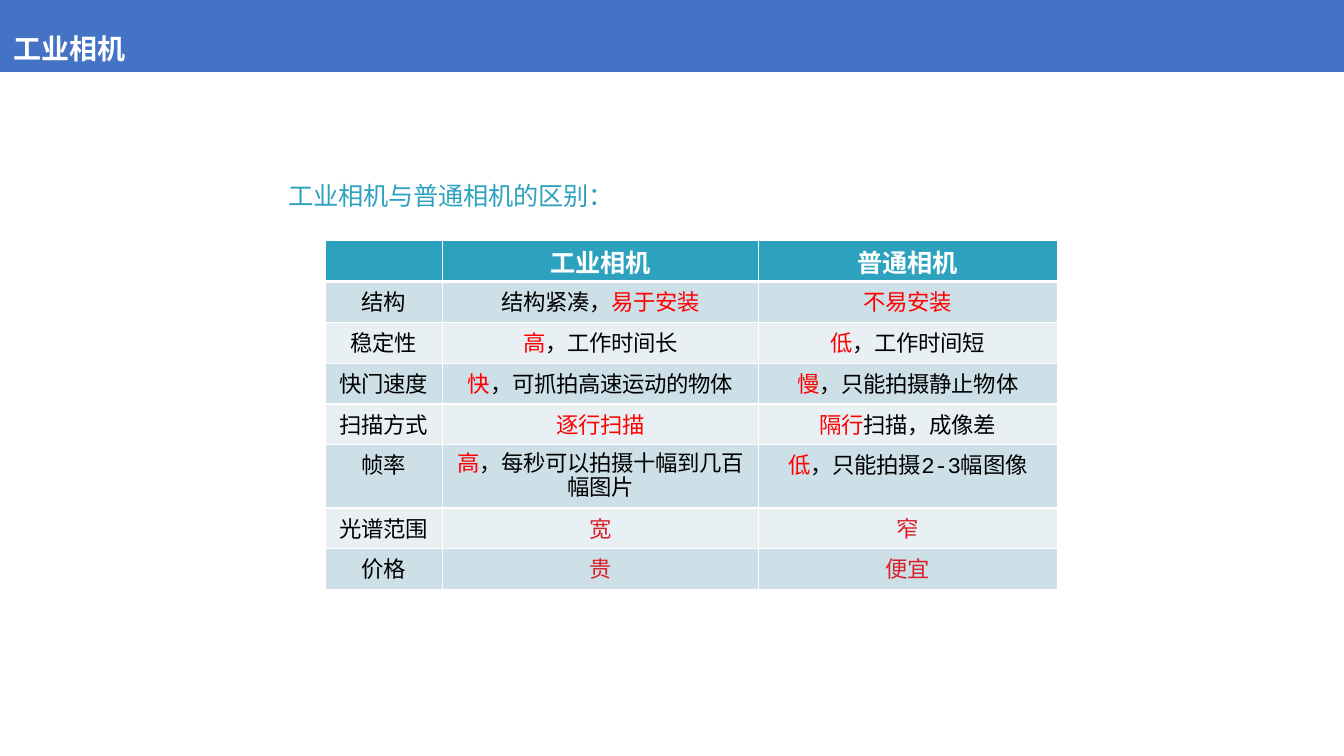
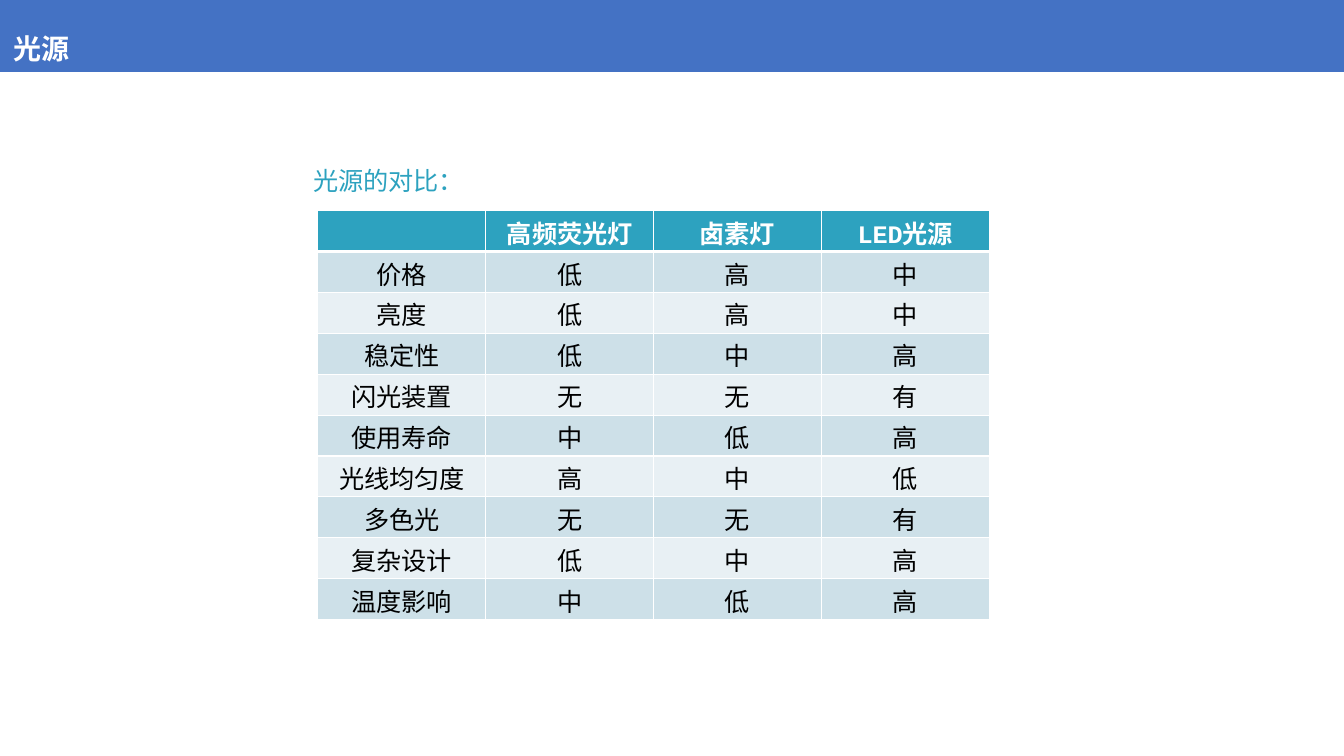
import lxml.etree
import pptx
import pptx.dml.color
import pptx.enum.text
import pptx.oxml.ns
import pptx.util

Cm = pptx.util.Cm
Pt = pptx.util.Pt
qn = pptx.oxml.ns.qn
ALIGN = pptx.enum.text.PP_ALIGN
ANCHOR = pptx.enum.text.MSO_ANCHOR
AUTO_SIZE = pptx.enum.text.MSO_AUTO_SIZE

BAND, TEAL, WHITE, BLACK = "4472C4", "2DA2BF", "FFFFFF", "000000"
RED, CRIMSON = "FF0000", "DA1F28"
ROW_FILLS = ("CDE0E8", "E8F0F4")
EAST_ASIAN_FONT = "Noto Sans CJK SC"
SLIDE_WIDTH, SLIDE_HEIGHT = Cm(33.87), Cm(19.05)
ROW_HEIGHT = Cm(1.03)
TWO_LINE_HEIGHT = Cm(1.59)

# A cell is a string, or a list of strings and (text, colour) pairs.
CAMERA_ROWS = [
    ["", "工业相机", "普通相机"],
    ["结构", ["结构紧凑，", ("易于安装", RED)], [("不易安装", RED)]],
    ["稳定性", [("高", RED), "，工作时间长"], [("低", RED), "，工作时间短"]],
    ["快门速度", [("快", RED), "，可抓拍高速运动的物体"],
     [("慢", RED), "，只能拍摄静止物体"]],
    ["扫描方式", [("逐行扫描", RED)], [("隔行", RED), "扫描，成像差"]],
    ["帧率", [("高", RED), "，每秒可以拍摄十幅到几百幅图片"],
     [("低", RED), "，只能拍摄2-3幅图像"]],
    ["光谱范围", [("宽", CRIMSON)], [("窄", CRIMSON)]],
    ["价格", [("贵", CRIMSON)], [("便宜", CRIMSON)]],
]
FRAME_RATE_ROW = 5

LIGHT_ROWS = [
    ["", "高频荧光灯", "卤素灯", "LED光源"],
    ["价格", "低", "高", "中"],
    ["亮度", "低", "高", "中"],
    ["稳定性", "低", "中", "高"],
    ["闪光装置", "无", "无", "有"],
    ["使用寿命", "中", "低", "高"],
    ["光线均匀度", "高", "中", "低"],
    ["多色光", "无", "无", "有"],
    ["复杂设计", "低", "中", "高"],
    ["温度影响", "中", "低", "高"],
]


def color(hex_value):
    return pptx.dml.color.RGBColor.from_string(hex_value)


def set_fill(target, hex_value):
    target.fill.solid()
    target.fill.fore_color.rgb = color(hex_value)


def set_margins(target, left, top, right, bottom):
    target.margin_left, target.margin_top = Cm(left), Cm(top)
    target.margin_right, target.margin_bottom = Cm(right), Cm(bottom)


def add_text(paragraph, text, size=18, hex_value=BLACK, bold=False,
             font="Courier New", spacing=0):
    """Append a run; spacing is in points between characters."""
    run = paragraph.add_run()
    run.text = text
    run.font.size = Pt(size)
    run.font.bold = bold
    run.font.name = font
    run.font.color.rgb = color(hex_value)
    properties = run._r.get_or_add_rPr()
    properties.set("spc", str(round(spacing * 100)))
    east_asian = lxml.etree.SubElement(properties, qn("a:ea"))
    east_asian.set("typeface", EAST_ASIAN_FONT)


def add_titled_slide(presentation, title):
    slide = presentation.slides.add_slide(presentation.slide_layouts[5])
    shape = slide.shapes.title
    shape.left, shape.top = Cm(0), Cm(0)
    shape.width, shape.height = SLIDE_WIDTH, Cm(1.81)
    set_fill(shape, BAND)
    frame = shape.text_frame
    frame.auto_size = AUTO_SIZE.NONE
    frame.word_wrap = True
    frame.vertical_anchor = ANCHOR.BOTTOM
    set_margins(frame, 0.33, 0.18, 0.33, 0.18)
    paragraph = frame.paragraphs[0]
    paragraph.alignment = ALIGN.LEFT
    add_text(paragraph, title, size=20, hex_value=WHITE, bold=True, font="Arial")
    return slide


def add_caption(slide, text, left, top, width):
    box = slide.shapes.add_textbox(Cm(left), Cm(top), Cm(width), Cm(0.84))
    frame = box.text_frame
    frame.word_wrap = True
    frame.auto_size = AUTO_SIZE.SHAPE_TO_FIT_TEXT
    set_margins(frame, 0.03, 0.03, 0, 0)
    paragraph = frame.paragraphs[0]
    paragraph.space_before = Pt(1)
    add_text(paragraph, text, hex_value=TEAL, font=EAST_ASIAN_FONT, spacing=-0.1)


def set_borders(cell, row_index):
    """White 1 pt borders, with a 3 pt line below the header row."""
    widths = {"L": 1, "R": 1, "T": 3 if row_index == 1 else 1,
              "B": 3 if row_index == 0 else 1}
    properties = cell._tc.get_or_add_tcPr()
    for side, width in widths.items():
        line = lxml.etree.SubElement(properties, qn(f"a:ln{side}"))
        line.set("w", str(Pt(width)))
        fill = lxml.etree.SubElement(line, qn("a:solidFill"))
        lxml.etree.SubElement(fill, qn("a:srgbClr")).set("val", WHITE)


def fill_cell(cell, content, row_index, size, spacing):
    header = row_index == 0
    set_borders(cell, row_index)
    set_fill(cell, TEAL if header else ROW_FILLS[(row_index - 1) % 2])
    set_margins(cell, 0, 0.08, 0, 0)
    paragraph = cell.text_frame.paragraphs[0]
    paragraph.alignment = ALIGN.CENTER
    paragraph.space_before = Pt(2)
    text_format = {"size": size, "hex_value": BLACK, "spacing": spacing}
    if header:
        text_format = {"hex_value": WHITE, "bold": True, "spacing": -0.1}
    for part in [content] if isinstance(content, str) else content:
        if isinstance(part, tuple):
            text, hex_value = part
            add_text(paragraph, text, **{**text_format, "hex_value": hex_value})
        elif part:
            add_text(paragraph, part, **text_format)


def add_comparison_table(slide, rows, left, top, column_widths, size, spacing):
    frame = slide.shapes.add_table(
        len(rows), len(column_widths), Cm(left), Cm(top),
        Cm(sum(column_widths)), ROW_HEIGHT * len(rows))
    table = frame.table
    table.horz_banding = False
    for column, width in zip(table.columns, column_widths):
        column.width = Cm(width)
    for row_index, contents in enumerate(rows):
        table.rows[row_index].height = ROW_HEIGHT
        for column_index, content in enumerate(contents):
            fill_cell(table.cell(row_index, column_index), content, row_index,
                      size, spacing)
    return table


def fit_two_lines(table, row_index, column_index):
    """Make room for a cell whose text wraps, with tight line spacing."""
    table.rows[row_index].height = TWO_LINE_HEIGHT
    cell = table.cell(row_index, column_index)
    set_margins(cell, 0.25, 0.23, 0.25, 0)
    paragraph = cell.text_frame.paragraphs[0]
    paragraph.line_spacing = Pt(17)
    paragraph.space_before = Pt(6.5)


def add_camera_slide(presentation):
    slide = add_titled_slide(presentation, "工业相机")
    add_caption(slide, "工业相机与普通相机的区别：", 7.24, 4.52, 8.4)
    table = add_comparison_table(slide, CAMERA_ROWS, 8.19, 6.06,
                                 [2.97, 7.95, 7.54], size=16, spacing=-0.2)
    fit_two_lines(table, FRAME_RATE_ROW, 1)


def add_light_slide(presentation):
    slide = add_titled_slide(presentation, "光源")
    add_comparison_table(slide, LIGHT_ROWS, 8.01, 5.31, [4.23] * 4,
                         size=18, spacing=-0.1)
    add_caption(slide, "光源的对比：", 7.87, 4.14, 4.2)


def main():
    presentation = pptx.Presentation()
    presentation.slide_width = SLIDE_WIDTH
    presentation.slide_height = SLIDE_HEIGHT
    add_camera_slide(presentation)
    add_light_slide(presentation)
    presentation.save("out.pptx")


if __name__ == "__main__":
    main()
